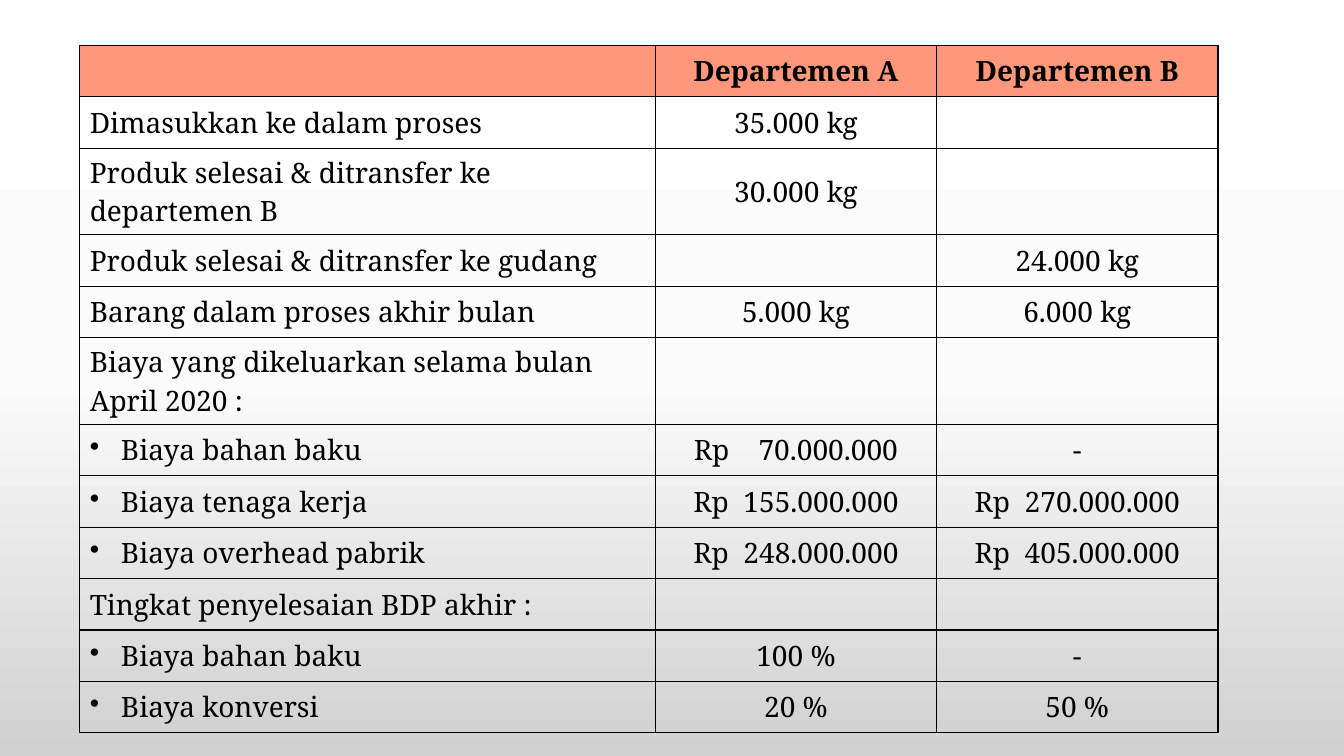
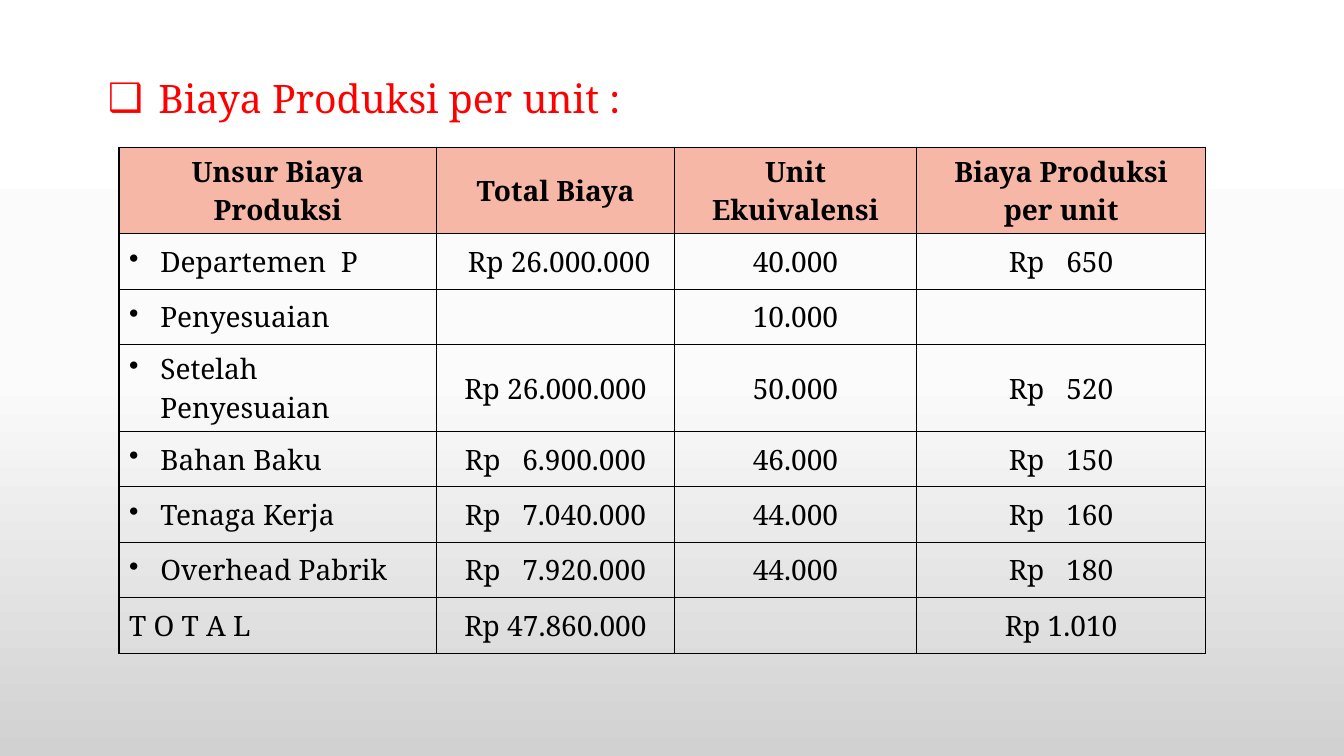
from lxml import etree
from pptx import Presentation
from pptx.dml.color import RGBColor
from pptx.enum.text import MSO_ANCHOR, PP_ALIGN
from pptx.oxml.ns import qn
from pptx.util import Inches, Pt

MIDDLE = MSO_ANCHOR.MIDDLE
LEFT, CENTER = PP_ALIGN.LEFT, PP_ALIGN.CENTER

# Shared style
WIDE, HIGH = 13.33, 7.5
FONT = "Noto Serif"
DOT, BOX = "•", "❑"
TALL = 0.86  # height of a row with two lines
COLORS = {
    "ink": "000000",
    "title": "FF0000",
    "coral": "FF977A",
    "blush": "F6B7A7",
}
FADE = [(0, "FFFFFF"), (50, "FBFBFB"), (100, "D1D1D1")]

# Table content: a label that starts with DOT becomes a list item
COSTS = [
    ["", "Departemen A", "Departemen B"],
    ["Dimasukkan ke dalam proses", "35.000 kg", ""],
    ["Produk selesai & ditransfer ke departemen B", "30.000 kg", ""],
    ["Produk selesai & ditransfer ke gudang", "", "24.000 kg"],
    ["Barang dalam proses akhir bulan", "5.000 kg", "6.000 kg"],
    ["Biaya yang dikeluarkan selama bulan April 2020 :", "", ""],
    ["•Biaya bahan baku", "Rp    70.000.000", "-"],
    ["•Biaya tenaga kerja", "Rp  155.000.000", "Rp  270.000.000"],
    ["•Biaya overhead pabrik", "Rp  248.000.000", "Rp  405.000.000"],
    ["Tingkat penyelesaian BDP akhir :", "", ""],
    ["•Biaya bahan baku", "100 %", "-"],
    ["•Biaya konversi", "20 %", "50 %"],
]
UNITS = [
    ["Unsur Biaya Produksi", "Total Biaya", "Unit Ekuivalensi",
     "Biaya Produksi per unit"],
    ["•Departemen  P", " Rp 26.000.000", "40.000", "Rp   650"],
    ["•Penyesuaian", "", "10.000", ""],
    ["•Setelah Penyesuaian", "Rp 26.000.000", "50.000", "Rp   520"],
    ["•Bahan Baku", "Rp   6.900.000", "46.000", "Rp   150"],
    ["•Tenaga Kerja", "Rp   7.040.000", "44.000", "Rp   160"],
    ["•Overhead Pabrik", "Rp   7.920.000", "44.000", "Rp   180"],
    ["T O T A L", "Rp 47.860.000", "", "Rp 1.010"],
]


def rgb(name):
    return RGBColor.from_string(COLORS[name])


def add_color(parent, value):
    etree.SubElement(parent, qn("a:srgbClr"), val=value)


def set_back(master):
    """Give every slide the same top-to-bottom fade."""
    fill = master.background.fill
    fill.gradient()
    fill.gradient_angle = 270
    stops = next(master.element.iter(qn("a:gsLst")))
    for old in list(stops):
        stops.remove(old)
    for share, value in FADE:
        stop = etree.SubElement(stops, qn("a:gs"), pos=str(share * 1000))
        add_color(stop, value)


def set_font(para, size, color, bold=False):
    font = para.font
    font.name, font.size, font.bold = FONT, Pt(size), bold
    font.color.rgb = rgb(color)


def set_bullet(para, sign, indent):
    props = para._p.get_or_add_pPr()
    props.set("marL", str(Inches(indent)))
    props.set("indent", str(-Inches(indent)))
    etree.SubElement(props, qn("a:buChar"), char=sign)


def set_border(cell):
    props = cell._tc.get_or_add_tcPr()
    for side in ("lnL", "lnR", "lnT", "lnB"):
        line = etree.SubElement(props, qn("a:" + side), w=str(Pt(1)))
        add_color(etree.SubElement(line, qn("a:solidFill")), COLORS["ink"])


def fill_cell(cell, text, align, head):
    """Write one cell; head is its fill colour, or None in the body."""
    set_border(cell)
    if head:
        cell.fill.solid()
        cell.fill.fore_color.rgb = rgb(head)
    else:
        cell.fill.background()
    cell.vertical_anchor = MIDDLE
    para = cell.text_frame.paragraphs[0]
    para.alignment = align
    set_font(para, 20, "ink", bold=bool(head))
    if text.startswith(DOT):
        set_bullet(para, DOT, 0.31)
    if text:
        para.add_run().text = text.removeprefix(DOT)


def add_grid(slide, data, left, top, cols, step, tall, head):
    """Add a table with rows of height step, and TALL for those in tall."""
    rows = [TALL if i in tall else step for i in range(len(data))]
    frame = slide.shapes.add_table(
        len(rows), len(cols), Inches(left), Inches(top),
        Inches(sum(cols)), Inches(sum(rows)))
    table = frame.table
    table.horz_banding = False
    for col, width in zip(table.columns, cols):
        col.width = Inches(width)
    for row, height in zip(table.rows, rows):
        row.height = Inches(height)
    for r, line in enumerate(data):
        for c, text in enumerate(line):
            align = CENTER if c or not r else LEFT
            fill_cell(table.cell(r, c), text, align, None if r else head)


def add_lead(slide, text):
    """Write the red lead line in the body placeholder."""
    title = slide.shapes.title
    title.element.getparent().remove(title.element)
    body = slide.placeholders[1]
    body.left, body.top = Inches(0.97), Inches(0.74)
    body.width, body.height = Inches(11.5), Inches(5.9)
    para = body.text_frame.paragraphs[0]
    para.line_spacing, para.space_before = 0.9, Pt(10)
    set_font(para, 28, "title")
    set_bullet(para, BOX, 0.5)
    para.add_run().text = text


def main():
    prs = Presentation()
    prs.slide_width, prs.slide_height = Inches(WIDE), Inches(HIGH)
    set_back(prs.slide_master)
    layouts = prs.slide_layouts

    # Data per department
    slide = prs.slides.add_slide(layouts[6])
    add_grid(slide, COSTS, 0.79, 0.45, [5.71, 2.79, 2.79],
             0.51, {2, 5}, "coral")

    # Cost per unit
    slide = prs.slides.add_slide(layouts[1])
    add_lead(slide, "Biaya Produksi per unit :")
    add_grid(slide, UNITS, 1.18, 1.46, [3.15, 2.36, 2.4, 2.87],
             0.55, {0, 3}, "blush")

    prs.save("out.pptx")


if __name__ == "__main__":
    main()
